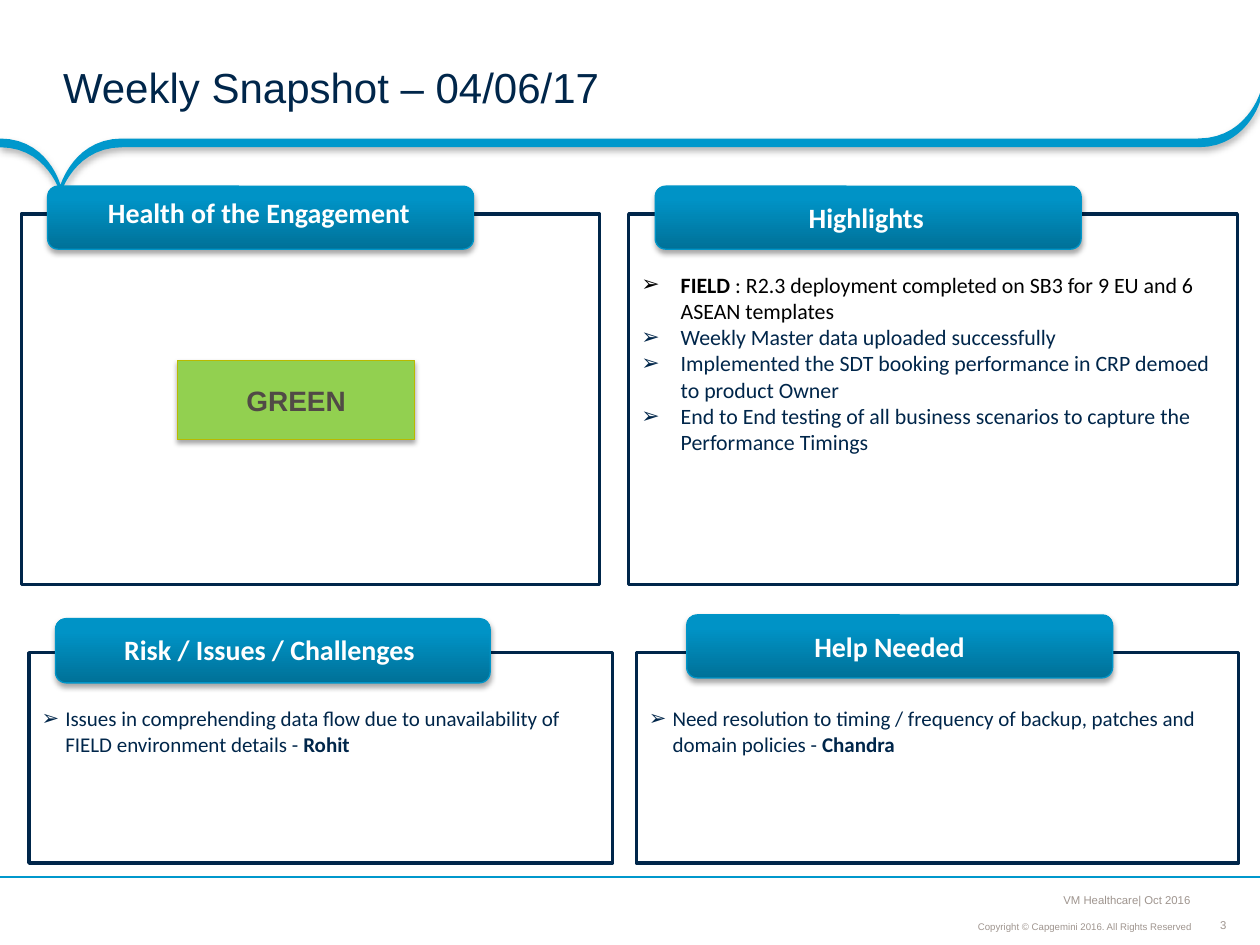
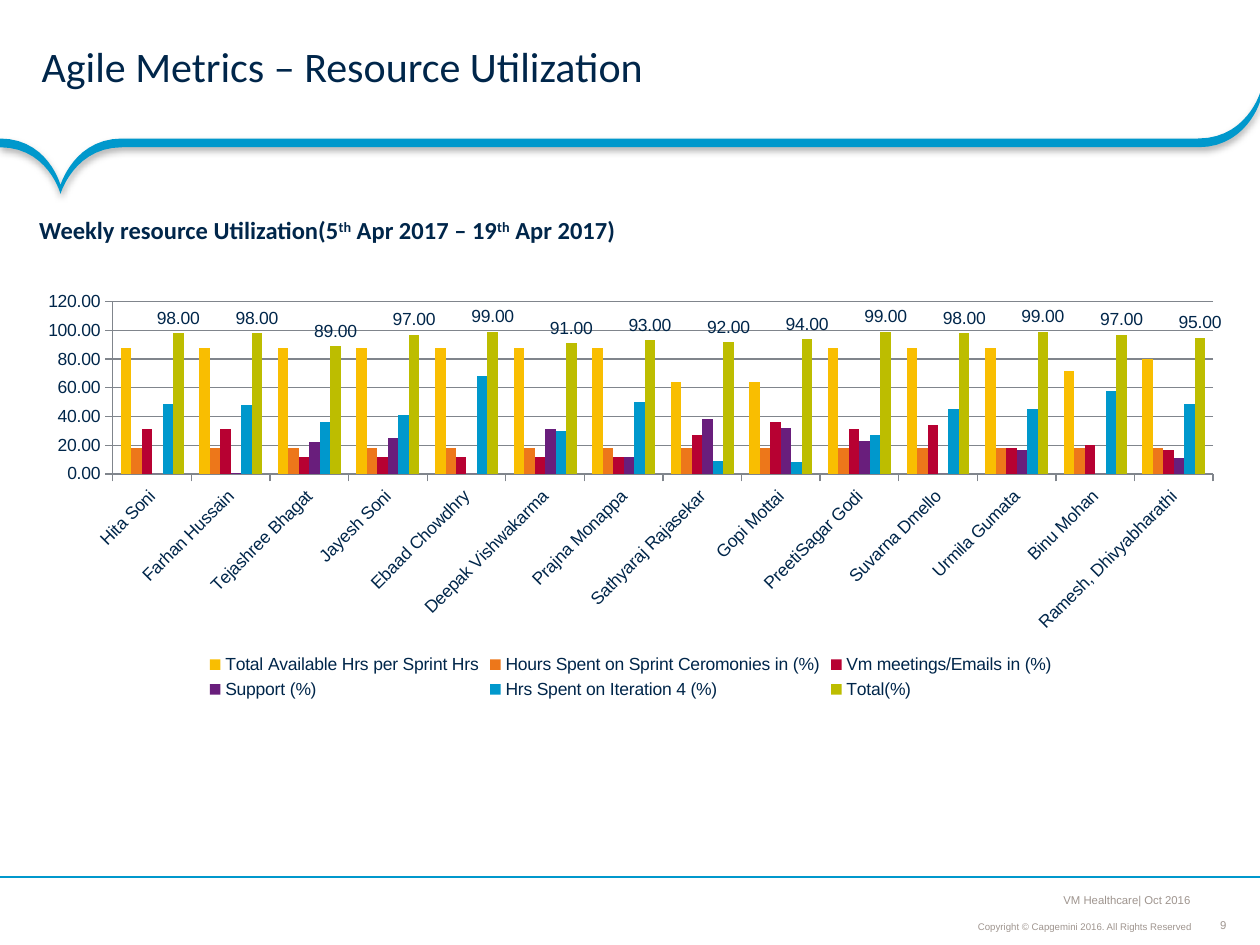
from lxml.etree import SubElement
from pptx import Presentation
from pptx.chart.data import CategoryChartData
from pptx.dml.color import RGBColor
from pptx.enum.chart import XL_CHART_TYPE as ChartType
from pptx.enum.chart import XL_LABEL_POSITION as LabelPosition
from pptx.enum.chart import XL_LEGEND_POSITION as LegendPosition
from pptx.enum.chart import XL_TICK_MARK as TickMark
from pptx.enum.shapes import MSO_CONNECTOR as Connector
from pptx.enum.shapes import MSO_SHAPE as Preset
from pptx.enum.text import MSO_ANCHOR as Anchor
from pptx.enum.text import MSO_AUTO_SIZE as AutoSize
from pptx.enum.text import PP_ALIGN as Align
from pptx.oxml.ns import qn
from pptx.util import Pt

NAVY, BLUE, GREY, WHITE, BLACK = "00264A", "0098CC", "9F958F", "FFFFFF", "000000"
BOLD = {"bold": True}
SUPERSCRIPT = {"bold": True, "baseline": 30}
TITLE_ONLY, COMPARISON = 5, 4


def color(hex_string):
    return RGBColor.from_string(hex_string)


def curve(start, control, tip, steps=14):
    """Points of a Bezier curve whose last control point lies on its tip."""
    points = []
    for step in range(steps + 1):
        t = step / steps
        weights = ((1 - t) ** 3, 3 * t * (1 - t) ** 2, 3 * t * t * (1 - t) + t ** 3)
        points.append(tuple(sum(w * point[axis] for w, point in zip(weights, (start, control, tip)))
                            for axis in (0, 1)))
    return points


class Deck:
    """Holds the style and the current slide."""

    def __init__(self):
        self.presentation = Presentation()
        self.presentation.slide_width, self.presentation.slide_height = Pt(720), Pt(540)
        self.slide = None

    # Slide frame
    def new_slide(self, layout, number):
        layouts = self.presentation.slide_layouts
        self.slide = self.presentation.slides.add_slide(layouts[layout])
        self.ribbon()
        self.rule(501.1)
        self.text((544.3, 506.2, 139, 15.1), ["VM Healthcare| Oct 2016"], size=6.5,
                  ink=GREY, align=Align.RIGHT, anchor=Anchor.BOTTOM, inset=3)
        self.text((490.3, 521.3, 193.7, 14.4), ["Copyright © Capgemini 2016. All Rights Reserved"],
                  size=5.5, ink=GREY, align=Align.RIGHT, anchor=Anchor.BOTTOM, inset=3)
        self.text((690, 524.9, 18, 7.9), [number], size=6.5, ink=GREY,
                  align=Align.CENTER, anchor=Anchor.MIDDLE, inset=0)

    def ribbon(self):
        top, tip, thickness = 79.2, (34.6, 105.8), 5
        left_wing = curve((0, top), (27.4, top), tip)
        right_wing = curve((69.8, top), (42.5, top), tip)[::-1]
        upturn = curve((684.7, top), (712.1, top), (720, 53.3))
        upper = left_wing + right_wing + upturn
        lower = [(x, y + thickness) for x, y in reversed(upper)]
        outline = [(Pt(x), Pt(y)) for x, y in upper + lower]
        builder = self.slide.shapes.build_freeform(*outline[0])
        builder.add_line_segments(outline[1:], close=True)
        shape = builder.convert_to_shape()
        self.paint(shape, BLUE)
        self.cast_shadow(shape, blur=4, distance=2, opacity=31)

    def rule(self, y):
        line = self.slide.shapes.add_connector(Connector.STRAIGHT, Pt(720), Pt(y), Pt(0), Pt(y))
        line.line.color.rgb, line.line.width = color(BLUE), Pt(0.75)
        SubElement(line.element.spPr, qn("a:effectLst"))

    # Shape finish
    def paint(self, shape, fill, line=None, width=0.75):
        shape.shadow.inherit = False
        shape.fill.solid()
        shape.fill.fore_color.rgb = color(fill)
        if line:
            shape.line.color.rgb, shape.line.width = color(line), Pt(width)
        else:
            shape.line.fill.background()

    def cast_shadow(self, shape, blur=3.1, distance=1.8, opacity=35):
        effects = shape.element.spPr.find(qn("a:effectLst"))
        shadow = SubElement(effects, qn("a:outerShdw"), blurRad=str(Pt(blur)),
                            dist=str(Pt(distance)), dir="5400000", rotWithShape="0")
        tint = SubElement(shadow, qn("a:srgbClr"), val=BLACK)
        SubElement(tint, qn("a:alpha"), val=str(opacity * 1000))

    # Text
    def add_runs(self, paragraph, pieces, size, ink=NAVY, font="Arial", bold=False):
        """Each piece is a string or a (string, overrides) pair."""
        for piece in pieces:
            content, style = (piece, {}) if isinstance(piece, str) else piece
            run = paragraph.add_run()
            run.text = content
            run.font.name, run.font.size = font, Pt(size)
            run.font.bold = style.get("bold", bold)
            run.font.color.rgb = color(style.get("ink", ink))
            if "baseline" in style:
                run._r.get_or_add_rPr().set("baseline", str(style["baseline"] * 1000))

    def text(self, box, pieces, size, align=Align.LEFT, anchor=Anchor.TOP, inset=None,
             wrap=True, **style):
        frame = self.slide.shapes.add_textbox(*map(Pt, box)).text_frame
        frame.word_wrap, frame.vertical_anchor = wrap, anchor
        if inset is not None:
            frame.margin_left = frame.margin_right = Pt(inset)
            frame.margin_top = frame.margin_bottom = Pt(inset)
        frame.paragraphs[0].alignment = align
        self.add_runs(frame.paragraphs[0], pieces, size, **style)

    def place(self, shape, box):
        shape.left, shape.top, shape.width, shape.height = map(Pt, box)

    def title(self, box, content, font):
        shape = self.slide.shapes.title
        self.place(shape, box)
        frame = shape.text_frame
        frame.auto_size, frame.vertical_anchor = AutoSize.NONE, Anchor.MIDDLE
        frame.margin_left, frame.margin_right = Pt(23.8), Pt(13)
        frame.margin_top = frame.margin_bottom = Pt(3)
        paragraph = frame.paragraphs[0]
        paragraph.alignment, paragraph.line_spacing = Align.LEFT, 0.85
        self.add_runs(paragraph, [content], 24, font=font)

    def bullets(self, index, box, items, size, indent):
        shape = self.slide.placeholders[index]
        shape.element.getparent().append(shape.element)  # in front of its panel
        self.place(shape, box)
        frame = shape.text_frame
        frame.auto_size, frame.vertical_anchor = AutoSize.NONE, Anchor.TOP
        for number, pieces in enumerate(items):
            paragraph = frame.add_paragraph() if number else frame.paragraphs[0]
            properties = paragraph._p.get_or_add_pPr()
            properties.set("marL", str(Pt(indent)))
            properties.set("indent", str(-Pt(indent)))
            SubElement(properties, qn("a:buFont"), typeface="Arial")
            SubElement(properties, qn("a:buChar"), char="➢")
            paragraph.space_before = Pt(0)
            self.add_runs(paragraph, pieces, size, font="Calibri")

    def remove_empty_placeholders(self):
        for shape in list(self.slide.placeholders):
            if not shape.text_frame.text:
                shape.element.getparent().remove(shape.element)

    # Panels
    def panel(self, box, tab_box, label_box, label):
        shapes = self.slide.shapes
        self.paint(shapes.add_shape(Preset.RECTANGLE, *map(Pt, box)), WHITE, NAVY, 2)
        tab = shapes.add_shape(Preset.ROUNDED_RECTANGLE, *map(Pt, tab_box))
        self.paint(tab, BLUE, "0095C8")
        tab.fill.gradient()
        tab.fill.gradient_angle = 90
        for stop, position, tint in zip(tab.fill.gradient_stops, (0, 0.8), ("007198", "0093C6")):
            stop.position, stop.color.rgb = position, color(tint)
        self.cast_shadow(tab)
        self.text(label_box, [label], 16, align=Align.CENTER, wrap=False,
                  ink=WHITE, font="Calibri", bold=True)

    def status(self, box, label):
        shape = self.slide.shapes.add_shape(Preset.RECTANGLE, *map(Pt, box))
        self.paint(shape, "92D050", "B9B900")
        self.cast_shadow(shape)
        frame = shape.text_frame
        frame.vertical_anchor = Anchor.MIDDLE
        frame.paragraphs[0].alignment = Align.CENTER
        self.add_runs(frame.paragraphs[0], [label], 16, ink="514A46", bold=True)

    # Chart
    def column_chart(self, box, categories, series_rows):
        data = CategoryChartData(number_format="0.00")
        data.categories = categories
        for name, _, values in series_rows:
            data.add_series(name, values)
        chart = self.slide.shapes.add_chart(
            ChartType.COLUMN_CLUSTERED, *map(Pt, box), data).chart
        chart.font.name, chart.font.size = "Arial", Pt(10)
        chart.font.color.rgb = color(NAVY)
        chart.has_title = False
        chart.has_legend = True
        chart.legend.position, chart.legend.include_in_layout = LegendPosition.BOTTOM, False

        plot = chart.plots[0]
        plot.gap_width, plot.overlap, plot.vary_by_categories = 150, 0, False
        for series, (_, fill, _) in zip(plot.series, series_rows):
            series.format.fill.solid()
            series.format.fill.fore_color.rgb = color(fill)
        labels = plot.series[-1].data_labels
        labels.show_value, labels.position = True, LabelPosition.OUTSIDE_END
        labels.number_format, labels.number_format_is_linked = "0.00", False

        values_axis, names_axis = chart.value_axis, chart.category_axis
        values_axis.minimum_scale, values_axis.maximum_scale = 0, 120
        values_axis.major_unit = 20
        values_axis.tick_labels.number_format = "0.00"
        values_axis.tick_labels.number_format_is_linked = False
        for axis in (values_axis, names_axis):
            axis.major_tick_mark, axis.minor_tick_mark = TickMark.OUTSIDE, TickMark.NONE
            axis.tick_labels.font.size = Pt(10)
            axis.tick_labels.font.color.rgb = color(NAVY)
            axis.format.line.color.rgb = color("80858C")
        values_axis.major_gridlines.format.line.color.rgb = color("80858C")
        names = chart.element.find(".//" + "/".join(map(qn, ("c:catAx", "c:txPr", "a:bodyPr"))))
        names.set("rot", "-2700000")
        names.set("vert", "horz")


def weekly_snapshot(deck):
    deck.new_slide(COMPARISON, "3")
    deck.title((12.2, 12.2, 707.8, 79.2), "Weekly Snapshot – 04/06/17", "Arial")

    # Four panels: frame, tab, label
    deck.panel((12.2, 122.4, 330.5, 211.7), (27.2, 106.4, 243.4, 36),
               (49.7, 108, 196.6, 26.6), "Health of the Engagement")
    deck.panel((359.3, 122.4, 347.8, 211.7), (374.4, 106.4, 243.4, 36),
               (452.2, 110.9, 85.7, 26.6), "Highlights")
    deck.panel((16.6, 373, 333.4, 120.2), (31.7, 353.5, 248.4, 36.7),
               (60.5, 357.8, 187.2, 26.6), "Risk / Issues / Challenges")
    deck.panel((363.6, 373, 344.2, 120.2), (392.4, 351.4, 243.4, 36),
               (456.5, 356.4, 103.7, 26.6), "Help Needed")

    # Panel contents
    deck.status((101.5, 205.9, 135.4, 45.4), "GREEN")
    deck.bullets(2, (359.3, 151.4, 347.8, 180), [
        [("FIELD", {"bold": True, "ink": BLACK}),
         (" : R2.3 deployment completed on SB3 for 9 EU and 6 ASEAN templates", {"ink": BLACK})],
        ["Weekly Master data uploaded successfully"],
        ["Implemented the SDT booking performance in CRP demoed to product Owner"],
        ["End to End testing of all business scenarios to capture the Performance Timings"],
    ], size=12.5, indent=22.5)
    deck.bullets(1, (16.6, 399.8, 325.4, 80), [
        ["Issues in comprehending data flow due to unavailability of FIELD environment details - ",
         ("Rohit", BOLD)]], size=12, indent=13.5)
    deck.bullets(4, (363.6, 399.8, 344.2, 80), [
        ["Need resolution to timing / frequency of backup, patches and domain policies - ",
         ("Chandra", BOLD)]], size=12, indent=13.5)
    deck.remove_empty_placeholders()


def resource_utilization(deck):
    deck.new_slide(TITLE_ONLY, "9")
    deck.title((0, 0, 720, 79.2), "Agile Metrics – Resource Utilization", "Calibri")
    deck.text((15.3, 119.5, 424, 24.5), [
        "Weekly resource Utilization(5", ("th", SUPERSCRIPT), " Apr 2017 – 19",
        ("th", SUPERSCRIPT), " Apr 2017)"], 14, font="Calibri", bold=True)

    people = ["Hita Soni", "Farhan Hussain", "Tejashree Bhagat", "Jayesh Soni", "Ebaad Chowdhry",
              "Deepak Vishwakarma", "Prajna Monappa", "Sathyaraj Rajasekar", "Gopi Mottai",
              "PreetiSagar Godi", "Suvarna Dmello", "Urmila Gumata", "Binu Mohan",
              "Ramesh, Dhivyabharathi"]
    deck.column_chart((13.7, 162, 693.4, 240.5), people, [
        ("Total Available Hrs per Sprint Hrs", "F9BE01",
         [88, 88, 88, 88, 88, 88, 88, 64, 64, 88, 88, 88, 72, 80]),
        ("Hours Spent on Sprint Ceromonies in (%)", "ED771A", [18] * len(people)),
        ("Vm meetings/Emails in (%)", "B70132",
         [31, 31, 12, 12, 12, 12, 12, 27, 36, 31, 34, 18, 20, 17]),
        ("Support (%)", "691E7C", [0, 1, 22, 25, 0, 31, 12, 38, 32, 23, 0, 17, 0, 11]),
        ("Hrs Spent on Iteration 4 (%)", BLUE,
         [49, 48, 36, 41, 68, 30, 50, 9, 8, 27, 45, 45, 58, 49]),
        ("Total(%)", "BDBD00", [98, 98, 89, 97, 99, 91, 93, 92, 94, 99, 98, 99, 97, 95]),
    ])


def main():
    deck = Deck()
    weekly_snapshot(deck)
    resource_utilization(deck)
    deck.presentation.save("out.pptx")


if __name__ == "__main__":
    main()
